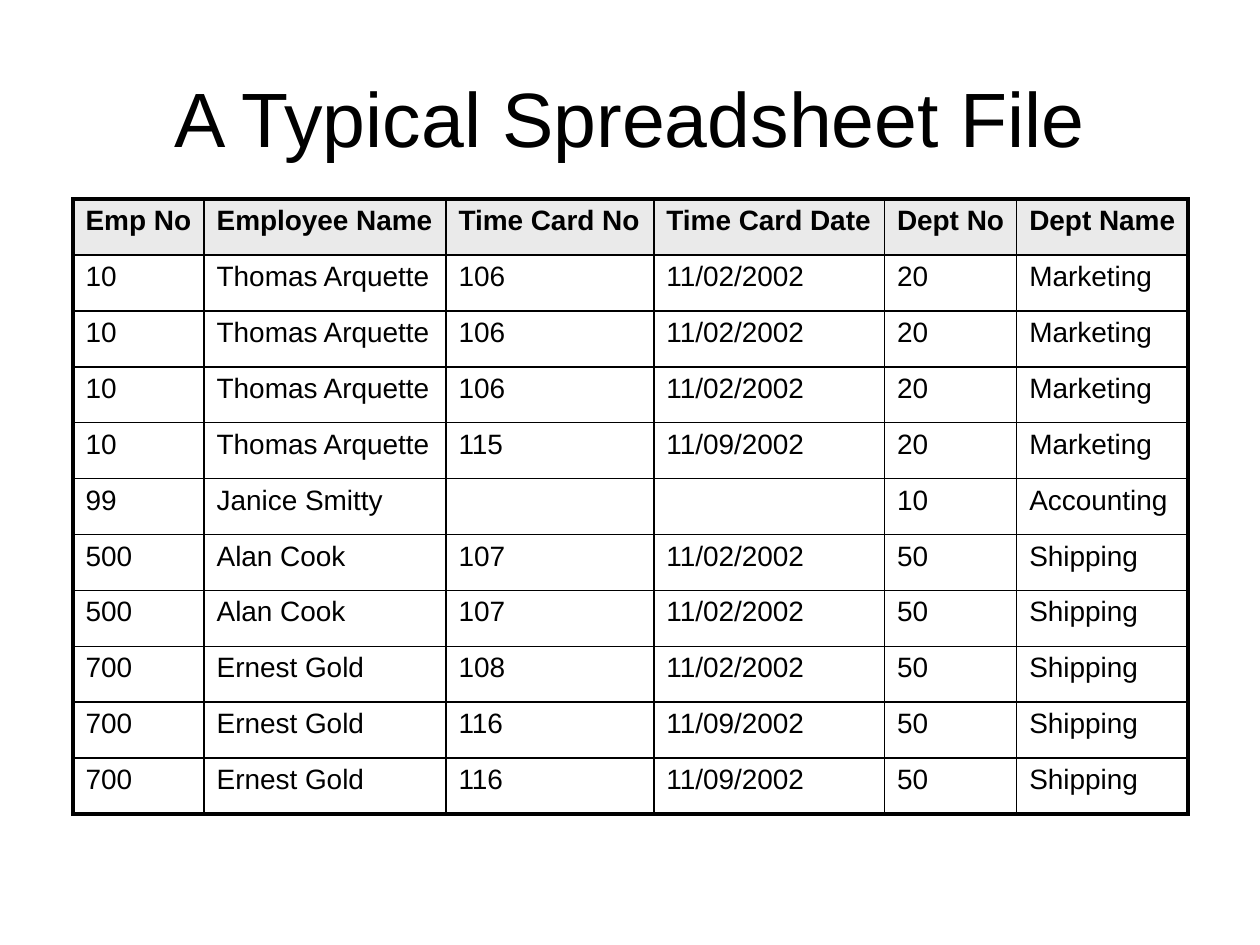
from lxml.etree import SubElement
from pptx import Presentation
from pptx.dml.color import RGBColor
from pptx.enum.text import MSO_ANCHOR, PP_ALIGN
from pptx.oxml.ns import qn
from pptx.util import Inches, Pt

TITLE = "A Typical Spreadsheet File"
HEADER = ("Emp No", "Employee Name", "Time Card No", "Time Card Date", "Dept No", "Dept Name")
RECORDS = [
    ("10", "Thomas Arquette", "106", "11/02/2002", "20", "Marketing"),
    ("10", "Thomas Arquette", "106", "11/02/2002", "20", "Marketing"),
    ("10", "Thomas Arquette", "106", "11/02/2002", "20", "Marketing"),
    ("10", "Thomas Arquette", "115", "11/09/2002", "20", "Marketing"),
    ("99", "Janice Smitty", "", "", "10", "Accounting"),
    ("500", "Alan Cook", "107", "11/02/2002", "50", "Shipping"),
    ("500", "Alan Cook", "107", "11/02/2002", "50", "Shipping"),
    ("700", "Ernest Gold", "108", "11/02/2002", "50", "Shipping"),
    ("700", "Ernest Gold", "116", "11/09/2002", "50", "Shipping"),
    ("700", "Ernest Gold", "116", "11/09/2002", "50", "Shipping"),
]
COLUMN_WIDTHS = (1.04, 1.92, 1.65, 1.83, 1.05, 1.36)
ROW_HEIGHT = 0.444
BLACK = RGBColor(0x00, 0x00, 0x00)
HEADER_GRAY = RGBColor(0xEA, 0xEA, 0xEA)
TITLE_FONT = {"name": "Arial", "size": Pt(44), "bold": False}
HEADER_FONT = {"name": "Arial", "size": Pt(16), "bold": True}
BODY_FONT = {**HEADER_FONT, "bold": False}
THIN, THICK = Pt(1), Pt(2.25)


def format_font(font, values):
    """Apply format values and the text colour to a font."""
    for name, value in values.items():
        setattr(font, name, value)
    font.color.rgb = BLACK


def set_borders(cell, outer_edges):
    """Draw the cell borders, thick on the table's outer edges."""
    tc_pr = cell._tc.get_or_add_tcPr()
    for side, outer in outer_edges.items():
        ln = SubElement(tc_pr, qn(f"a:ln{side}"), w=str(THICK if outer else THIN))
        fill = SubElement(ln, qn("a:solidFill"))
        SubElement(fill, qn("a:srgbClr"), val=str(BLACK))


def add_title(s):
    """Fill and place the title placeholder."""
    sp = s.shapes.title
    sp.left, sp.top, sp.width, sp.height = map(Inches, (0.5, 0.3, 9, 1.25))
    tf = sp.text_frame
    tf.vertical_anchor = MSO_ANCHOR.MIDDLE
    p = tf.paragraphs[0]
    p.alignment = PP_ALIGN.CENTER
    r = p.add_run()
    r.text = TITLE
    format_font(r.font, TITLE_FONT)


def add_records_table(s):
    """Build the bordered table of time card records."""
    rows = [HEADER, *RECORDS]
    last_row, last_col = len(rows) - 1, len(HEADER) - 1
    frame = s.shapes.add_table(
        len(rows), len(HEADER), Inches(0.58), Inches(1.58),
        Inches(sum(COLUMN_WIDTHS)), Inches(ROW_HEIGHT * len(rows)))
    table = frame.table
    table.first_row = table.horz_banding = False
    for column, width in zip(table.columns, COLUMN_WIDTHS):
        column.width = Inches(width)
    for i, row in enumerate(rows):
        table.rows[i].height = Inches(ROW_HEIGHT)
        for j, text in enumerate(row):
            cell = table.cell(i, j)
            set_borders(cell, {"L": j == 0, "R": j == last_col,
                               "T": i == 0, "B": i == last_row})
            if i == 0:
                cell.fill.solid()
                cell.fill.fore_color.rgb = HEADER_GRAY
            else:
                cell.fill.background()
            if text:
                r = cell.text_frame.paragraphs[0].add_run()
                r.text = text
                format_font(r.font, BODY_FONT if i else HEADER_FONT)


def main():
    """Build the slide and save it."""
    prs = Presentation()
    prs.slide_width, prs.slide_height = Inches(10), Inches(7.5)
    s = prs.slides.add_slide(prs.slide_layouts[5])
    add_title(s)
    add_records_table(s)
    prs.save("out.pptx")


if __name__ == "__main__":
    main()
